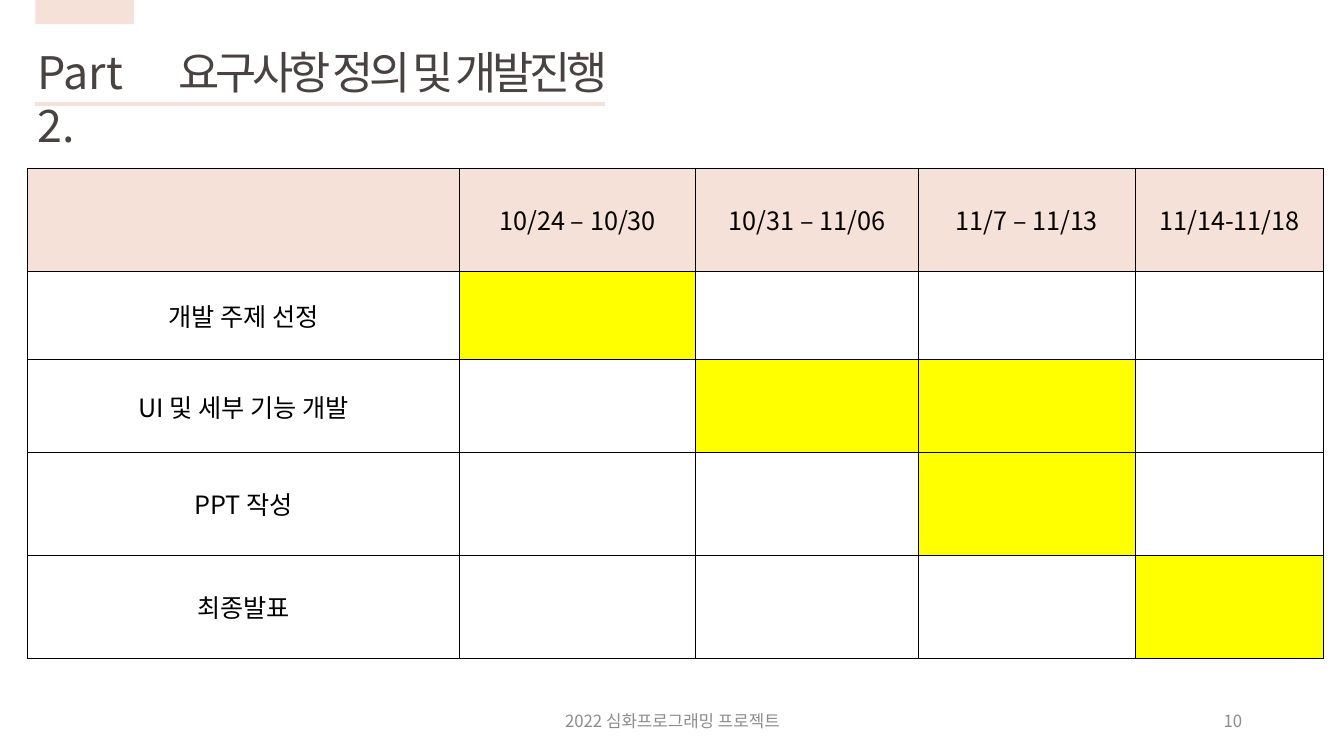
from dataclasses import dataclass

from pptx import Presentation, util as u
from pptx.dml.color import RGBColor
from pptx.enum import shapes, text
from pptx.oxml import parse_xml
from pptx.oxml.ns import nsdecls
from pptx.oxml.xmlchemy import OxmlElement

PX = 9144
LEFT, MID, RIGHT = text.PP_ALIGN.LEFT, text.PP_ALIGN.CENTER, text.PP_ALIGN.RIGHT


@dataclass(frozen=True)
class Theme:
    """Colours, type sizes and font of the deck."""
    font: str = "Noto Sans CJK KR"
    blush: str = "F6E1D9"
    mark: str = "FFFF00"
    plain: str = "FFFFFF"
    black: str = "000000"
    brown: str = "494240"
    grey: str = "8C8C8C"
    head: int = 32
    body: int = 18
    foot: int = 12


class Page:
    """Draws elements on one slide in one style."""

    def __init__(self, slide, theme):
        self.slide, self.theme = slide, theme

    def box(self, *dims):
        return [n * PX for n in dims]

    def words(self, frame, line, size, color, align):
        para = frame.paragraphs[0]
        para.alignment = align
        run = para.add_run()
        run.text = line
        for key, val in {"name": self.theme.font, "size": u.Pt(size), "bold": False}.items():
            setattr(run.font, key, val)
        run.font.color.rgb = RGBColor.from_string(color)
        east = OxmlElement("a:ea")
        east.set("typeface", self.theme.font)
        run.font._element.append(east)
        return run

    def fit(self, shape, dims, anchor):
        for key, val in zip(("left", "top", "width", "height"), self.box(*dims)):
            setattr(shape, key, val)
        form = {"word_wrap": True, "auto_size": text.MSO_AUTO_SIZE.NONE,
                "vertical_anchor": anchor}
        for key, val in form.items():
            setattr(shape.text_frame, key, val)

    def title(self, line, dims):
        shape = self.slide.shapes.title
        self.fit(shape, dims, text.MSO_ANCHOR.TOP)
        run = self.words(shape.text_frame, line, self.theme.head, self.theme.brown, LEFT)
        run.font._element.set("spc", "-300")
        shape.text_frame.paragraphs[0].line_spacing = 1.0

    def label(self, line, dims, size, color, align=LEFT, anchor=text.MSO_ANCHOR.MIDDLE):
        shape = self.slide.shapes.add_textbox(*self.box(*dims))
        self.fit(shape, dims, anchor)
        self.words(shape.text_frame, line, size, color, align)

    def block(self, dims, color):
        shape = self.slide.shapes.add_shape(shapes.MSO_SHAPE.RECTANGLE, *self.box(*dims))
        shape.shadow.inherit = False
        shape.fill.solid()
        shape.fill.fore_color.rgb = RGBColor.from_string(color)
        shape.line.fill.background()

    def rule(self, ends, color, width):
        line = self.slide.shapes.add_connector(shapes.MSO_CONNECTOR.STRAIGHT, *self.box(*ends))
        line.line.color.rgb = RGBColor.from_string(color)
        line.line.width = u.Pt(width)
        line._element.spPr.append(OxmlElement("a:effectLst"))

    def cell(self, cell, line, color):
        for side in "LRTB":
            cell._tc.get_or_add_tcPr().append(parse_xml(
                f'<a:ln{side} {nsdecls("a")} w="12700"><a:solidFill>'
                f'<a:srgbClr val="{self.theme.black}"/></a:solidFill></a:ln{side}>'))
        cell.fill.solid()
        cell.fill.fore_color.rgb = RGBColor.from_string(color)
        cell.vertical_anchor = text.MSO_ANCHOR.MIDDLE
        if line:
            self.words(cell.text_frame, line, self.theme.body, self.theme.black, MID)

    def plan(self, spot, cols, rows, weeks, tasks):
        dims = self.box(*spot, sum(cols), sum(rows))
        grid = self.slide.shapes.add_table(len(rows), len(cols), *dims).table
        for key in ("first_row", "horz_banding"):
            setattr(grid, key, False)
        for col, width in zip(grid.columns, cols):
            col.width = width * PX
        for row, height in zip(grid.rows, rows):
            row.height = height * PX
        for c, week in enumerate(["", *weeks]):
            self.cell(grid.cell(0, c), week, self.theme.blush)
        for r, (task, busy) in enumerate(tasks.items(), 1):
            for c in range(len(cols)):
                color = self.theme.mark if c in busy else self.theme.plain
                self.cell(grid.cell(r, c), "" if c else task, color)


def main():
    deck = Presentation()
    deck.slide_width, deck.slide_height = 1333 * PX, 750 * PX
    look = Theme()
    page = Page(deck.slides.add_slide(deck.slide_layouts[5]), look)
    page.rule((35, 103, 600, 103), look.blush, 2.5)
    page.block((35, 0, 98, 24), look.blush)
    weeks = ["10/24 – 10/30", "10/31 – 11/06", "11/7 – 11/13", "11/14-11/18"]
    tasks = {"개발 주제 선정": {1}, "UI 및 세부 기능 개발": {2, 3},
             "PPT 작성": {3}, "최종발표": {4}}
    page.plan((27, 167), (429, 234, 221, 215, 187), (102, 88, 92, 102, 102), weeks, tasks)
    page.label("Part 2.", (27, 39, 148, 64), look.head, look.brown,
               anchor=text.MSO_ANCHOR.TOP)
    page.title("요구사항 정의 및 개발진행", (167, 39, 502, 64))
    page.label("2022 심화프로그래밍 프로젝트", (442, 695, 450, 40), look.foot, look.grey, MID)
    page.label("10", (942, 695, 300, 40), look.foot, look.grey, RIGHT)
    deck.save("out.pptx")


if __name__ == "__main__":
    main()
